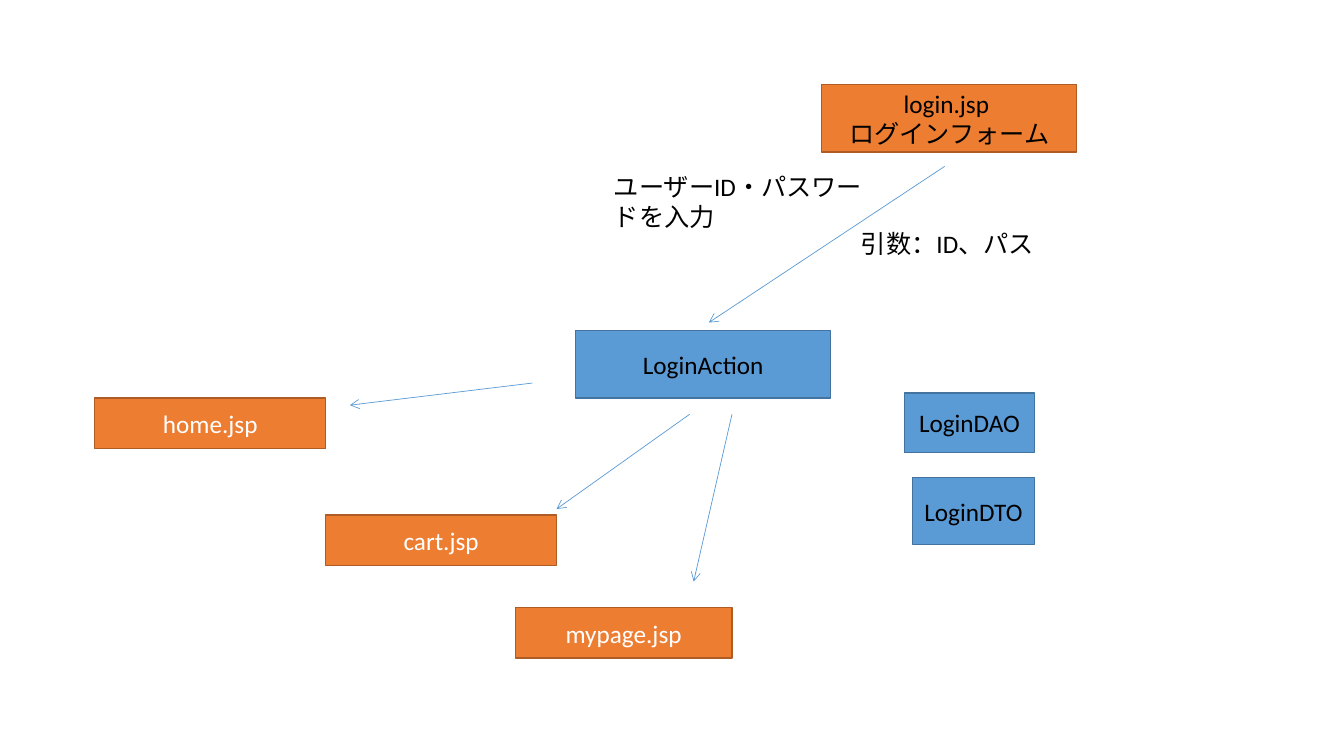
from lxml.etree import SubElement
from pptx import Presentation
from pptx.dml.color import RGBColor
from pptx.enum.shapes import MSO_CONNECTOR, MSO_SHAPE
from pptx.enum.text import MSO_ANCHOR, MSO_AUTO_SIZE, PP_ALIGN
from pptx.oxml.ns import qn
from pptx.util import Inches, Pt

COLORS = {
    "blue": "5B9BD5", "blue_edge": "43739E",
    "orange": "ED7D31", "orange_edge": "AF5C24",
    "black": "000000", "white": "FFFFFF",
}

# text, (left, top, width, height), fill, text colour
BOXES = [
    ("LoginDTO", (9.05, 4.74, 1.21, 0.66), "blue", "black"),
    ("LoginDAO", (8.97, 3.9, 1.29, 0.59), "blue", "black"),
    ("LoginAction", (5.71, 3.28, 2.53, 0.67), "blue", "black"),
    ("login.jsp \nログインフォーム", (8.15, 0.84, 2.53, 0.67), "orange", "black"),
    ("cart.jsp", (3.23, 5.11, 2.29, 0.5), "orange", "white"),
    ("mypage.jsp", (5.11, 6.03, 2.15, 0.5), "orange", "white"),
    ("home.jsp", (0.94, 3.95, 2.29, 0.5), "orange", "white"),
]

# start x, start y, end x, end y
ARROWS = [
    (7.26, 4.11, 6.88, 5.77),
    (6.84, 4.11, 5.52, 5.05),
    (9.37, 1.65, 7.03, 3.2),
    (5.28, 3.8, 3.47, 4.02),
]

LABELS = [
    ("引数：ID、パス", (8.44, 2.22, 2.24, 0.4)),
    ("ユーザーID・パスワードを入力", (5.99, 1.65, 2.78, 0.71)),
]


def color(name):
    return RGBColor.from_string(COLORS[name])


def write(shape, text, ink="black", align=PP_ALIGN.LEFT, anchor=MSO_ANCHOR.TOP,
          size=18, font="Calibri"):
    frame = shape.text_frame
    frame.word_wrap = True
    frame.vertical_anchor = anchor
    frame.text = text
    for para in frame.paragraphs:
        para.alignment = align
        for run in para.runs:
            run.font.name = font
            run.font.size = Pt(size)
            run.font.color.rgb = color(ink)


def add_box(slide, text, place, fill, ink):
    box = slide.shapes.add_shape(MSO_SHAPE.FLOWCHART_PROCESS, *map(Inches, place))
    box.shadow.inherit = False
    box.fill.solid()
    box.fill.fore_color.rgb = color(fill)
    box.line.color.rgb = color(fill + "_edge")
    box.line.width = Pt(1)
    write(box, text, ink=ink, align=PP_ALIGN.CENTER, anchor=MSO_ANCHOR.MIDDLE)


def add_arrow(slide, ends):
    arrow = slide.shapes.add_connector(MSO_CONNECTOR.STRAIGHT, *map(Inches, ends))
    arrow.line.color.rgb = color("blue")
    arrow.line.width = Pt(0.5)
    SubElement(arrow.line._get_or_add_ln(), qn("a:tailEnd"), type="arrow")
    SubElement(arrow._element.spPr, qn("a:effectLst"))


def add_label(slide, text, place):
    label = slide.shapes.add_textbox(*map(Inches, place))
    write(label, text)
    label.text_frame.auto_size = MSO_AUTO_SIZE.SHAPE_TO_FIT_TEXT


def main():
    deck = Presentation()
    deck.slide_width, deck.slide_height = Inches(13.33), Inches(7.5)
    slide = deck.slides.add_slide(deck.slide_layouts[6])
    for box in BOXES:
        add_box(slide, *box)
    for ends in ARROWS:
        add_arrow(slide, ends)
    for label in LABELS:
        add_label(slide, *label)
    deck.save("out.pptx")


if __name__ == "__main__":
    main()
